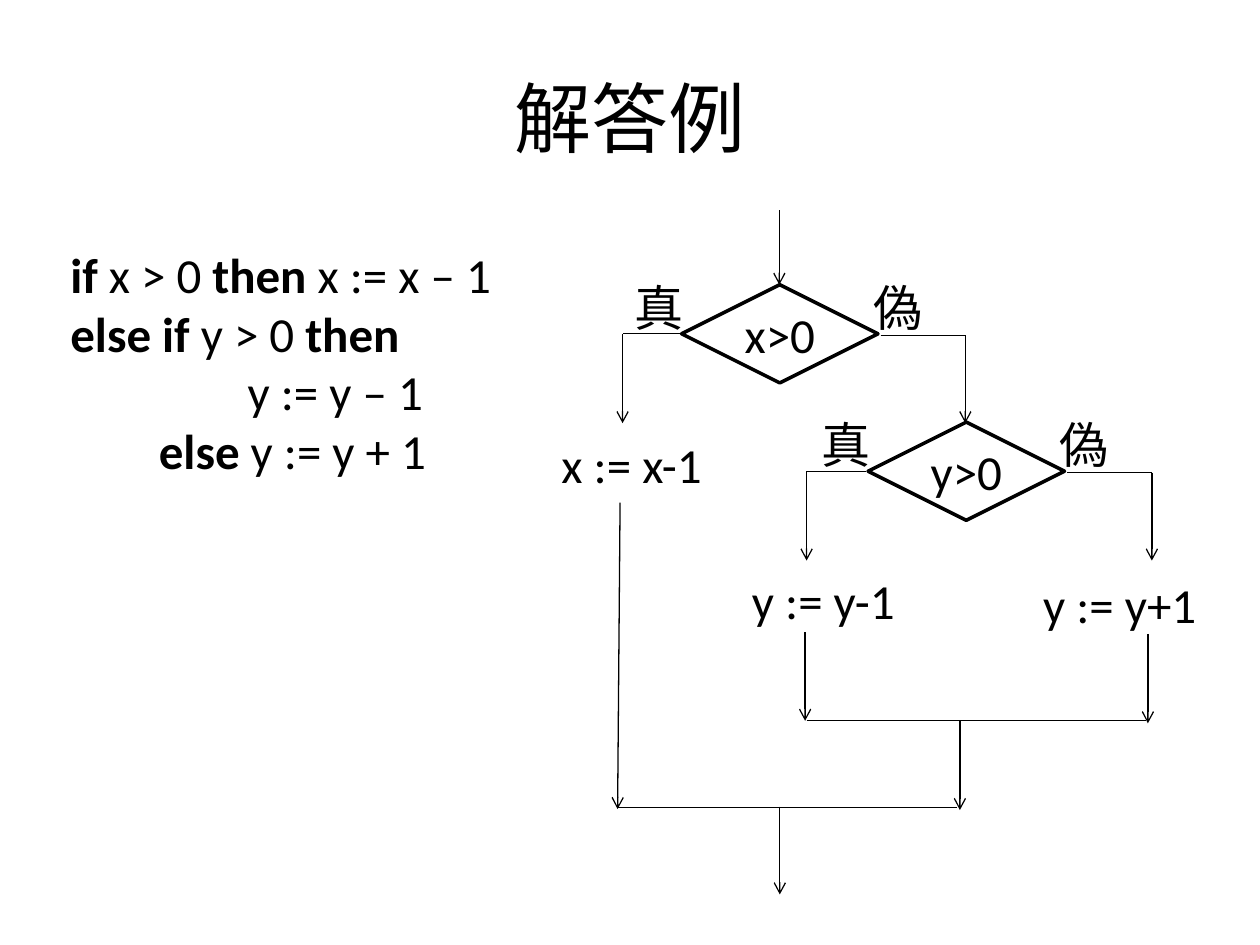
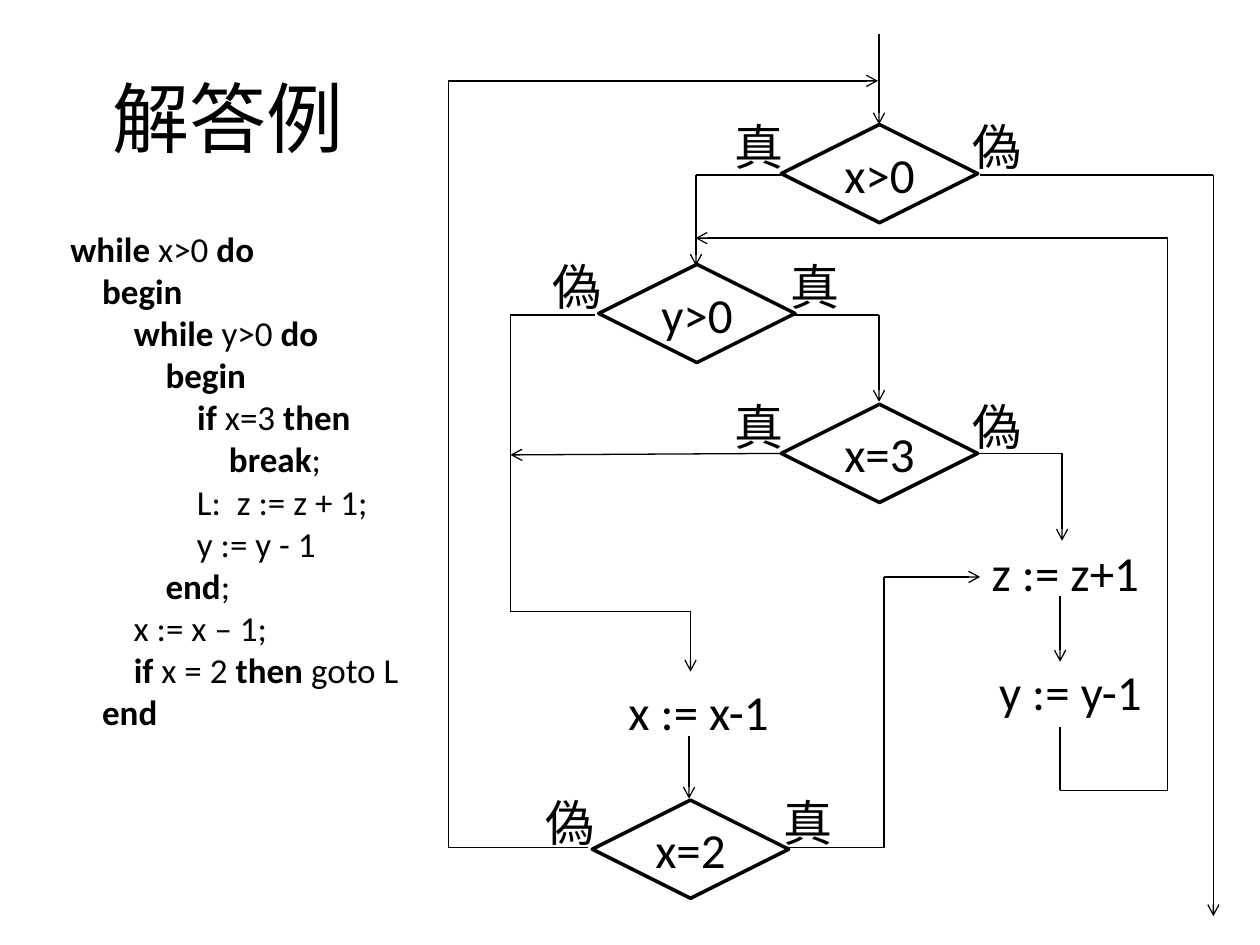
from itertools import pairwise

from lxml.etree import SubElement
from pptx import Presentation
from pptx.dml.color import RGBColor
from pptx.enum.shapes import MSO_CONNECTOR, MSO_SHAPE
from pptx.enum.text import MSO_ANCHOR, PP_ALIGN
from pptx.oxml.ns import qn
from pptx.util import Cm, Pt


def rgb(value):
    return RGBColor.from_string(value)


class FlowDeck:
    ink = "000000"
    font = "Calibri"
    title_size = 44
    flow_size = 28
    diamond_width, diamond_height = 3.96, 1.98
    line_height = 1.45
    label_width = 1.5
    label_rise = 0.28
    left_label, right_label = -1.19, 3.61
    statement_width = 3.9

    def __init__(self):
        self.deck = Presentation()
        self.deck.slide_width, self.deck.slide_height = Cm(25.4), Cm(19.05)
        self.slide = None

    def style(self, paragraph, size, align=PP_ALIGN.LEFT):
        paragraph.alignment = align
        paragraph.font.name = self.font
        paragraph.font.size = Pt(size)
        paragraph.font.color.rgb = rgb(self.ink)

    def start(self, title, title_width):
        self.slide = self.deck.slides.add_slide(self.deck.slide_layouts[5])
        heading = self.slide.shapes.title
        heading.left, heading.top = Cm(1.27), Cm(0.76)
        heading.width, heading.height = Cm(title_width), Cm(3.18)
        heading.text_frame.vertical_anchor = MSO_ANCHOR.MIDDLE
        heading.text_frame.text = title
        self.style(heading.text_frame.paragraphs[0], self.title_size, PP_ALIGN.CENTER)

    def code(self, lines, left, top, width, height, size):
        """Text between asterisks is bold."""
        listing = self.slide.shapes.add_textbox(Cm(left), Cm(top), Cm(width), Cm(height))
        frame = listing.text_frame
        frame.word_wrap = True
        for number, line in enumerate(lines):
            paragraph = frame.add_paragraph() if number else frame.paragraphs[0]
            self.style(paragraph, size)
            for position, part in enumerate(line.split("*")):
                if part:
                    run = paragraph.add_run()
                    run.text = part
                    run.font.bold = position % 2 == 1

    def words(self, text, left, top, width):
        self.code([text], left, top, width, self.line_height, self.flow_size)

    def statement(self, text, left, top):
        self.words(text, left, top, self.statement_width)

    def decision(self, condition, left, top, left_branch, right_branch):
        diamond = self.slide.shapes.add_shape(
            MSO_SHAPE.DIAMOND, Cm(left), Cm(top),
            Cm(self.diamond_width), Cm(self.diamond_height))
        diamond.shadow.inherit = False
        diamond.fill.background()
        diamond.line.color.rgb = rgb(self.ink)
        diamond.line.width = Pt(2)
        frame = diamond.text_frame
        frame.word_wrap = False
        frame.vertical_anchor = MSO_ANCHOR.MIDDLE
        frame.text = condition
        self.style(frame.paragraphs[0], self.flow_size, PP_ALIGN.CENTER)
        for branch, offset in ((left_branch, self.left_label), (right_branch, self.right_label)):
            self.words(branch, left + offset, top - self.label_rise, self.label_width)

    def flow(self, *points, arrow=True):
        for start, end in pairwise(points):
            segment = self.slide.shapes.add_connector(
                MSO_CONNECTOR.STRAIGHT, *(Cm(value) for value in start + end))
            segment.line.color.rgb = rgb(self.ink)
            segment.line.width = Pt(0.75)
            properties = segment._element.spPr
            SubElement(properties, qn("a:effectLst"))
        if arrow:
            SubElement(properties.find(qn("a:ln")), qn("a:tailEnd"), type="arrow")


def nested_if(deck):
    deck.start("解答例", 22.86)
    deck.code([
        "*if* x > 0 *then* x := x – 1",
        "*else if* y > 0 *then*",
        "                y := y – 1",
        "        *else* y := y + 1",
    ], 1.17, 4.8, 9.14, 5.05, 28)

    deck.decision("x>0", 13.74, 5.74, "真", "偽")
    deck.decision("y>0", 17.5, 8.51, "真", "偽")
    deck.statement("x := x-1", 11.07, 8.64)
    deck.statement("y := y-1", 14.91, 11.38)
    deck.statement("y := y+1", 20.78, 11.46)

    deck.flow((15.71, 4.24), (15.71, 5.74))
    deck.flow((13.74, 6.73), (12.55, 6.73), (12.55, 8.53))
    deck.flow((17.75, 6.76), (19.46, 6.76), (19.46, 8.53))
    deck.flow((17.45, 9.5), (16.26, 9.5), (16.26, 11.3))
    deck.flow((21.51, 9.53), (23.22, 9.53), (23.22, 11.3))
    deck.flow((12.5, 10.13), (12.45, 16.31))
    deck.flow((16.23, 12.75), (16.23, 14.53))
    deck.flow((23.14, 12.78), (23.14, 14.58))
    deck.flow((16.26, 14.53), (23.11, 14.53), arrow=False)
    deck.flow((19.35, 14.53), (19.35, 16.33))
    deck.flow((12.45, 16.28), (19.3, 16.28), arrow=False)
    deck.flow((15.72, 16.26), (15.72, 18.03))


def nested_while(deck):
    deck.start("解答例", 6.65)
    deck.code([
        "*while* x>0 *do*",
        "    *begin*",
        "        *while* y>0 *do*",
        "            *begin*",
        "                *if* x=3 *then*",
        "                    *break*;",
        "                L:  z := z + 1;",
        "                y := y - 1",
        "            *end*;",
        "        x := x – 1;",
        "        *if* x = 2 *then* goto L",
        "    *end*",
    ], 1.17, 4.47, 7.42, 10.52, 20)

    deck.decision("x>0", 15.75, 2.51, "真", "偽")
    deck.decision("y>0", 12.07, 5.33, "偽", "真")
    deck.decision("x=3", 15.75, 8.15, "真", "偽")
    deck.decision("x=2", 11.94, 16.13, "偽", "真")
    deck.statement("x := x-1", 12.42, 13.61)
    deck.statement("z := z+1", 19.74, 10.82)
    deck.statement("y := y-1", 19.89, 13.21)

    deck.flow((17.72, 0.69), (17.72, 2.51))
    deck.flow((15.75, 3.53), (14.03, 3.53), (14.03, 5.36))
    deck.flow((19.76, 3.53), (24.46, 3.53), (24.46, 18.47))
    deck.flow((16, 6.35), (17.72, 6.35), (17.72, 8.1))
    deck.flow((11.99, 6.35), (10.29, 6.35), (10.29, 12.32), (13.92, 12.32), (13.92, 13.54))
    deck.flow((15.77, 9.14), (10.29, 9.17))
    deck.flow((19.69, 9.14), (21.41, 9.14), (21.41, 10.9))
    deck.flow((21.37, 12.01), (21.37, 13.34))
    deck.flow((21.37, 14.66), (21.37, 15.93), (23.54, 15.93), (23.54, 4.8), (14.02, 4.8))
    deck.flow((13.89, 14.83), (13.89, 16.1))
    deck.flow((15.9, 17.09), (17.82, 17.09), (17.82, 11.63), (19.76, 11.63))
    deck.flow((11.86, 17.09), (9.04, 17.09), (9.04, 1.63), (17.7, 1.63))


def main():
    flow_deck = FlowDeck()
    nested_if(flow_deck)
    nested_while(flow_deck)
    flow_deck.deck.save("out.pptx")


if __name__ == "__main__":
    main()
